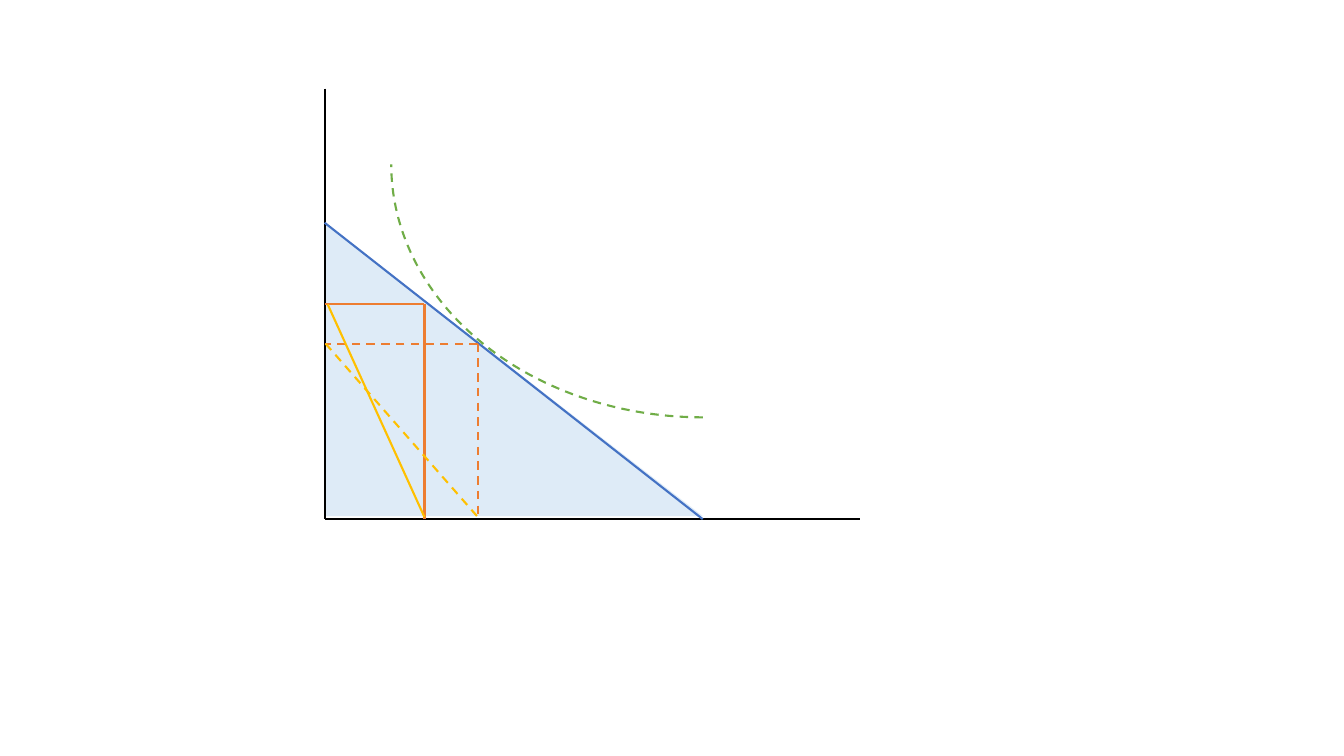
"""Build a budget-line diagram with an indifference curve and two chosen bundles."""
from lxml import etree
from pptx import Presentation
from pptx import util as u
from pptx.dml.color import RGBColor
from pptx.enum import dml, shapes
from pptx.oxml.ns import qn

BLACK = RGBColor(0x00, 0x00, 0x00)
BLUE = RGBColor(0x44, 0x72, 0xC4)
PALE = RGBColor(0xDE, 0xEB, 0xF7)
GREEN = RGBColor(0x70, 0xAD, 0x47)
ORANGE = RGBColor(0xED, 0x7D, 0x31)
GOLD = RGBColor(0xFF, 0xC0, 0x00)

WIDE, HIGH = 13.33, 7.5
LEFT, BASE = 3.22, 5.15
REACH, PEAK = 3.75, 2.94
FIRST = (0.99, 2.13)
BEST = (1.52, 1.74)

AXES = [
    ((0, 4.27), (0, 0), BLACK, False),
    ((0, 0), (5.31, 0), BLACK, False),
    ((0, PEAK), (REACH, 0), BLUE, False),
]
CURVE = (0.66, 6.03, 6.18, 5.02)
BUNDLES = [
    (BEST, (BEST[0], 0), ORANGE, True),
    (BEST, (0, BEST[1]), ORANGE, True),
    (FIRST, (FIRST[0], 0), ORANGE, False),
    (FIRST, (0, FIRST[1]), ORANGE, False),
    ((0.03, FIRST[1]), (FIRST[0], 0.02), GOLD, False),
    ((0.01, BEST[1]), (BEST[0], 0.02), GOLD, True),
]


def place(x, y):
    """Turn steps right of and above the origin into slide lengths."""
    return u.Inches(LEFT + x), u.Inches(BASE - y)


def ink(line, color, dash):
    """Set colour, width and dash of a line."""
    line.color.rgb = color
    line.width = u.Pt(1.5)
    if dash:
        line.dash_style = dml.MSO_LINE.DASH


def draw(slide, lines):
    """Draw straight lines between points of the plot."""
    for start, end, color, dash in lines:
        link = slide.shapes.add_connector(
            shapes.MSO_CONNECTOR.STRAIGHT, *place(*start), *place(*end))
        ink(link.line, color, dash)
        etree.SubElement(link._element.spPr, qn("a:effectLst"))


def form(slide, kind, x, y, wide, high):
    """Add a preset shape whose top left corner is a point of the plot."""
    shape = slide.shapes.add_shape(
        kind, *place(x, y), u.Inches(wide), u.Inches(high))
    shape.shadow.inherit = False
    return shape


def main():
    """Compose and save the slide."""
    deck = Presentation()
    deck.slide_width, deck.slide_height = u.Inches(WIDE), u.Inches(HIGH)
    slide = deck.slides.add_slide(deck.slide_layouts[6])

    area = form(slide, shapes.MSO_SHAPE.ISOSCELES_TRIANGLE,
                0, PEAK, REACH, PEAK - 0.03)
    area.adjustments[0] = 0
    area.fill.solid()
    area.fill.fore_color.rgb = PALE
    area.line.fill.background()

    draw(slide, AXES)
    curve = form(slide, shapes.MSO_SHAPE.ARC, *CURVE)
    curve.rotation = 180
    curve.fill.background()
    ink(curve.line, GREEN, True)
    draw(slide, BUNDLES)

    deck.save("out.pptx")


if __name__ == "__main__":
    main()
